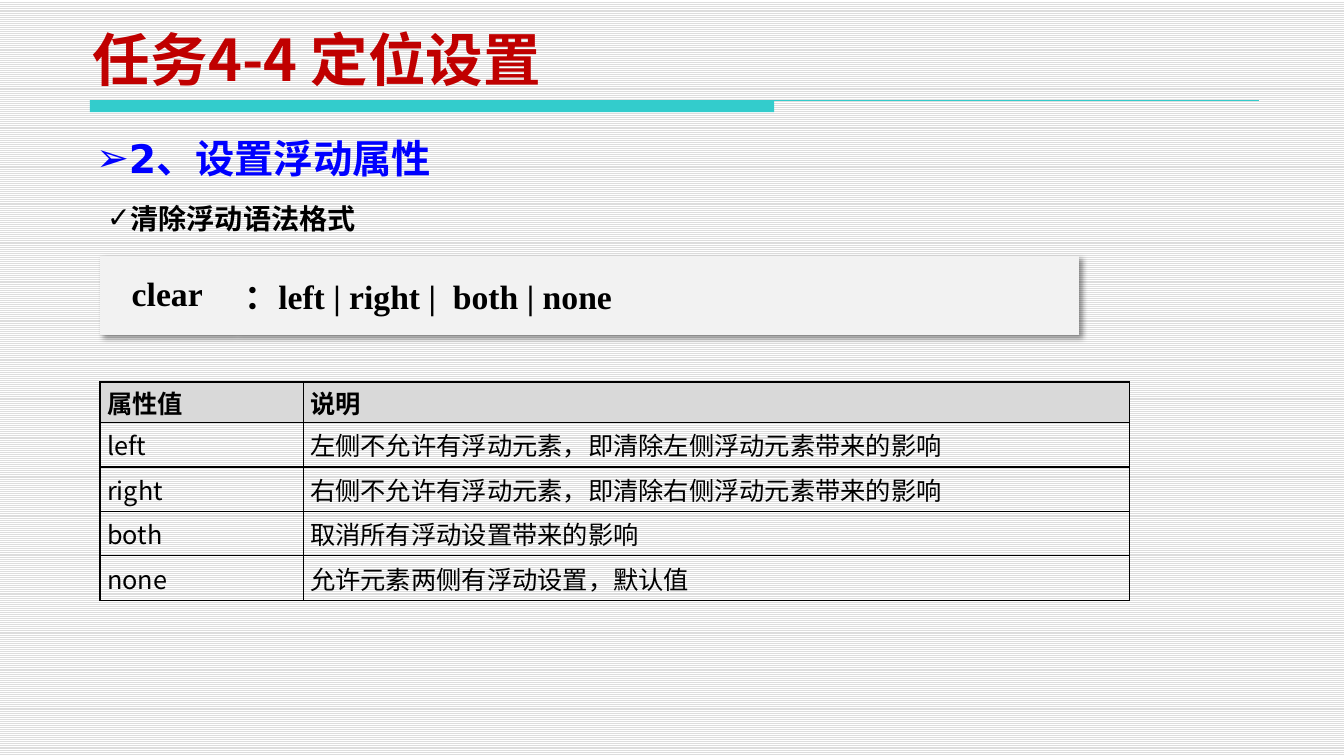
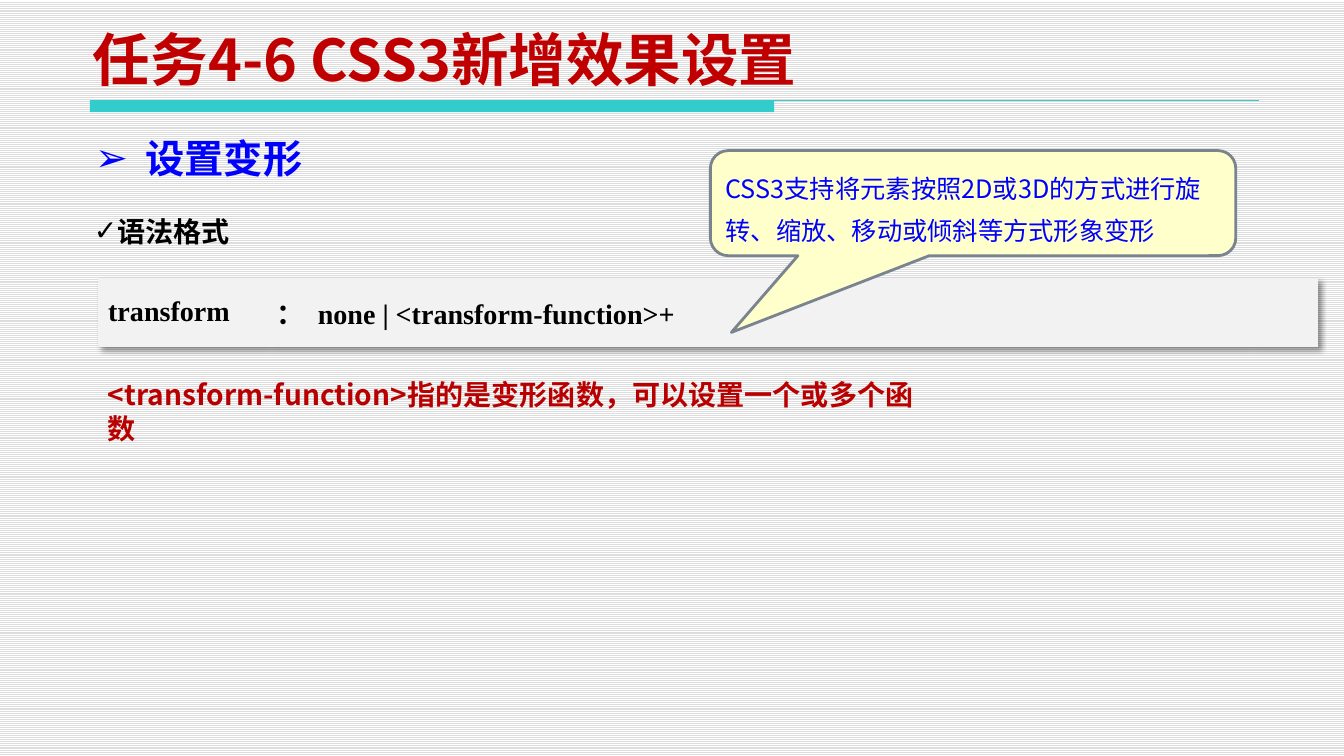
from dataclasses import dataclass

from lxml import etree
from pptx import Presentation
from pptx.dml.color import RGBColor
from pptx.enum import dml, shapes, text
from pptx.oxml import ns
from pptx.util import Inches, Pt


@dataclass(frozen=True)
class Theme:
    title: str = "C00000"
    heading: str = "0000FF"
    ink: str = "000000"
    note: str = "B90000"
    band: str = "33CCCC"
    code_fill: str = "F2F2F2"
    head_fill: str = "D9D9D9"
    callout_fill: str = "FFFFCC"
    callout_line: str = "79848F"
    stripe: str = "DDDDDD"
    paper: str = "FFFFFF"
    sans: str = "Noto Sans CJK SC"
    heading_font: str = "DejaVu Sans"
    serif: str = "Times New Roman"
    cell_font: str = "Calibri"
    title_pt: int = 41
    heading_pt: int = 28
    code_pt: int = 24
    sub_pt: int = 20
    body_pt: int = 18


T = Theme()
PLAIN_TABLE = "{2D5ABB26-0587-4C30-8999-92F81FD0307C}"
ALIGN = text.PP_ALIGN
ANCHOR = text.MSO_ANCHOR


def rgb(value):
    return RGBColor.from_string(value)


def child(parent, tag, **attrs):
    return etree.SubElement(parent, ns.qn(tag), attrs)


def box(*lengths):
    return [Inches(v) for v in lengths]


def place(sp, area):
    sp.left, sp.top, sp.width, sp.height = box(*area)


def write(tf, content, *, size, font=T.sans, color=T.ink, bold=False,
          align=ALIGN.LEFT, bullet=None, hang=0, leading=None):
    p = tf.paragraphs[0]
    p.alignment = align
    p.space_before = Pt(0)
    if leading:
        p.line_spacing = Pt(leading)
    if bullet:
        pPr = p._p.get_or_add_pPr()
        pPr.set("marL", str(Inches(hang)))
        pPr.set("indent", str(-Inches(hang)))
        child(pPr, "a:buFont", typeface=T.heading_font)
        child(pPr, "a:buChar", char=bullet)
    r = p.add_run()
    r.text = content
    r.font.size, r.font.bold, r.font.name = Pt(size), bold, font
    r.font.color.rgb = rgb(color)
    child(r._r.get_or_add_rPr(), "a:ea", typeface=T.sans)


def draw_band(s, left, top, bar_width, rule_width):
    bar = s.shapes.add_shape(shapes.MSO_SHAPE.RECTANGLE,
                             *box(left, top, bar_width, 0.12))
    bar.shadow.inherit = False
    bar.fill.solid()
    bar.fill.fore_color.rgb = rgb(T.band)
    bar.line.fill.background()
    rule = s.shapes.add_connector(shapes.MSO_CONNECTOR.STRAIGHT,
                                  *box(left, top, left + rule_width, top))
    rule.line.color.rgb = rgb(T.band)
    rule.line.width = Pt(0.75)
    child(rule._element.spPr, "a:effectLst")


def fill_placeholder(sp, area, content, anchor=ANCHOR.TOP, **style):
    place(sp, area)
    tf = sp.text_frame
    tf.auto_size = text.MSO_AUTO_SIZE.NONE
    tf.vertical_anchor = anchor
    tf.word_wrap = True
    write(tf, content, bold=True, **style)


def add_page(prs, title, heading, heading_area, sub, sub_area, hang=0):
    s = prs.slides.add_slide(prs.slide_layouts[3])
    draw_band(s, 0.89, 0.99, 6.77, 11.57)
    title_sp, heading_sp, sub_sp = s.placeholders
    fill_placeholder(title_sp, (0.82, 0.28, 8.03, 0.69), title, ANCHOR.BOTTOM,
                     size=T.title_pt, color=T.title)
    fill_placeholder(heading_sp, heading_area, heading, size=T.heading_pt,
                     font=T.heading_font, color=T.heading,
                     align=ALIGN.JUSTIFY, bullet="➢", hang=hang)
    fill_placeholder(sub_sp, sub_area, sub, size=T.sub_pt, font=T.serif,
                     bullet="✓")
    return s


def add_grid(s, left, top, widths, heights):
    frame = s.shapes.add_table(len(heights), len(widths),
                               *box(left, top, sum(widths), sum(heights)))
    table = frame.table
    table.first_row = table.horz_banding = False
    table._tbl.tblPr.find(ns.qn("a:tableStyleId")).text = PLAIN_TABLE
    for col, width in zip(table.columns, widths):
        col.width = Inches(width)
    for row, height in zip(table.rows, heights):
        row.height = Inches(height)
    return table


def paint_cell(cell, fill=None):
    cell.vertical_anchor = ANCHOR.MIDDLE
    if fill:
        cell.fill.solid()
        cell.fill.fore_color.rgb = rgb(fill)
    else:
        cell.fill.background()


def border_cell(cell):
    tcPr = cell._tc.get_or_add_tcPr()
    for i, side in enumerate("LRTB"):
        ln = etree.Element(ns.qn(f"a:ln{side}"), {"w": str(Pt(1))})
        child(child(ln, "a:solidFill"), "a:srgbClr", val=T.ink)
        tcPr.insert(i, ln)


def cast_shadow(table):
    effects = etree.Element(ns.qn("a:effectLst"))
    shadow = child(effects, "a:outerShdw", blurRad=str(Pt(4)),
                   dist=str(Pt(3)), dir="2700000", algn="tl")
    child(child(shadow, "a:srgbClr", val=T.ink), "a:alpha", val="40000")
    table._tbl.tblPr.insert(0, effects)


def add_syntax(s, left, top, widths, height, parts, size,
               name_align=ALIGN.LEFT):
    table = add_grid(s, left, top, widths, [height])
    cast_shadow(table)
    for cell in table.iter_cells():
        paint_cell(cell, T.code_fill)
    for i, part in enumerate(parts):
        write(table.cell(0, i).text_frame, part, size=size, font=T.serif,
              bold=True, align=ALIGN.LEFT if i else name_align)


def add_values(s, left, top, widths, rows):
    table = add_grid(s, left, top, widths, [0.4] + [0.44] * (len(rows) - 1))
    for i, row in enumerate(rows):
        for j, content in enumerate(row):
            cell = table.cell(i, j)
            cell.margin_left = cell.margin_right = Inches(0.07)
            cell.margin_top = cell.margin_bottom = 0
            paint_cell(cell, None if i else T.head_fill)
            border_cell(cell)
            write(cell.text_frame, content, size=T.body_pt, bold=i == 0,
                  font=T.sans if i and j == 0 else T.cell_font,
                  align=ALIGN.JUSTIFY)


def add_callout(s, area, content):
    sp = s.shapes.add_shape(shapes.MSO_SHAPE.ROUNDED_RECTANGULAR_CALLOUT,
                            *box(*area))
    for i, value in enumerate((-0.46, 1.23, 0.17)):
        sp.adjustments[i] = value
    sp.shadow.inherit = False
    sp.fill.solid()
    sp.fill.fore_color.rgb = rgb(T.callout_fill)
    sp.line.color.rgb = rgb(T.callout_line)
    sp.line.width = Pt(2)
    sp.text_frame.word_wrap = True
    sp.text_frame.vertical_anchor = ANCHOR.MIDDLE
    write(sp.text_frame, content, size=T.body_pt, color=T.heading, leading=30)


def add_note(s, area, content):
    tf = s.shapes.add_textbox(*box(*area)).text_frame
    tf.word_wrap = True
    write(tf, content, size=T.sub_pt, color=T.note, bold=True)


def clear_slide(prs):
    s = add_page(prs, "任务4-4 定位设置",
                 "2、设置浮动属性", (0.85, 1.28, 8.66, 0.57),
                 "清除浮动语法格式", (0.96, 1.94, 7.33, 0.44))
    add_syntax(s, 0.99, 2.53, (1.33, 8.36), 0.78,
               ("clear", "：left | right |  both | none"), T.code_pt,
               ALIGN.CENTER)
    add_values(s, 0.99, 3.78, (2.01, 8.18), (
        ("属性值", "说明"),
        ("left", "左侧不允许有浮动元素，即清除左侧浮动元素带来的影响"),
        ("right", "右侧不允许有浮动元素，即清除右侧浮动元素带来的影响"),
        ("both", "取消所有浮动设置带来的影响"),
        ("none", "允许元素两侧有浮动设置，默认值"),
    ))


def transform_slide(prs):
    s = add_page(prs, "任务4-6 CSS3新增效果设置",
                 "设置变形", (0.84, 1.28, 12.03, 0.58),
                 "语法格式", (0.83, 2.07, 7.33, 0.44), hang=0.5)
    add_syntax(s, 0.97, 2.75, (1.67, 9.71, 0.69), 0.68,
               ("transform", "：  none | <transform-function>+"), T.sub_pt)
    add_callout(s, (7.03, 1.49, 5.2, 1.04),
                "CSS3支持将元素按照2D或3D的方式进行旋转、缩放、移动或倾斜等方式形象变形")
    add_note(s, (0.97, 3.69, 8.44, 0.44),
             "<transform-function>指的是变形函数，可以设置一个或多个函数")


def main():
    prs = Presentation()
    prs.slide_width, prs.slide_height = box(13.3, 7.48)
    fill = prs.slide_master.background.fill
    fill.patterned()
    fill.pattern = dml.MSO_PATTERN.LIGHT_HORIZONTAL
    fill.fore_color.rgb = rgb(T.stripe)
    fill.back_color.rgb = rgb(T.paper)
    clear_slide(prs)
    transform_slide(prs)
    prs.save("out.pptx")


if __name__ == "__main__":
    main()
